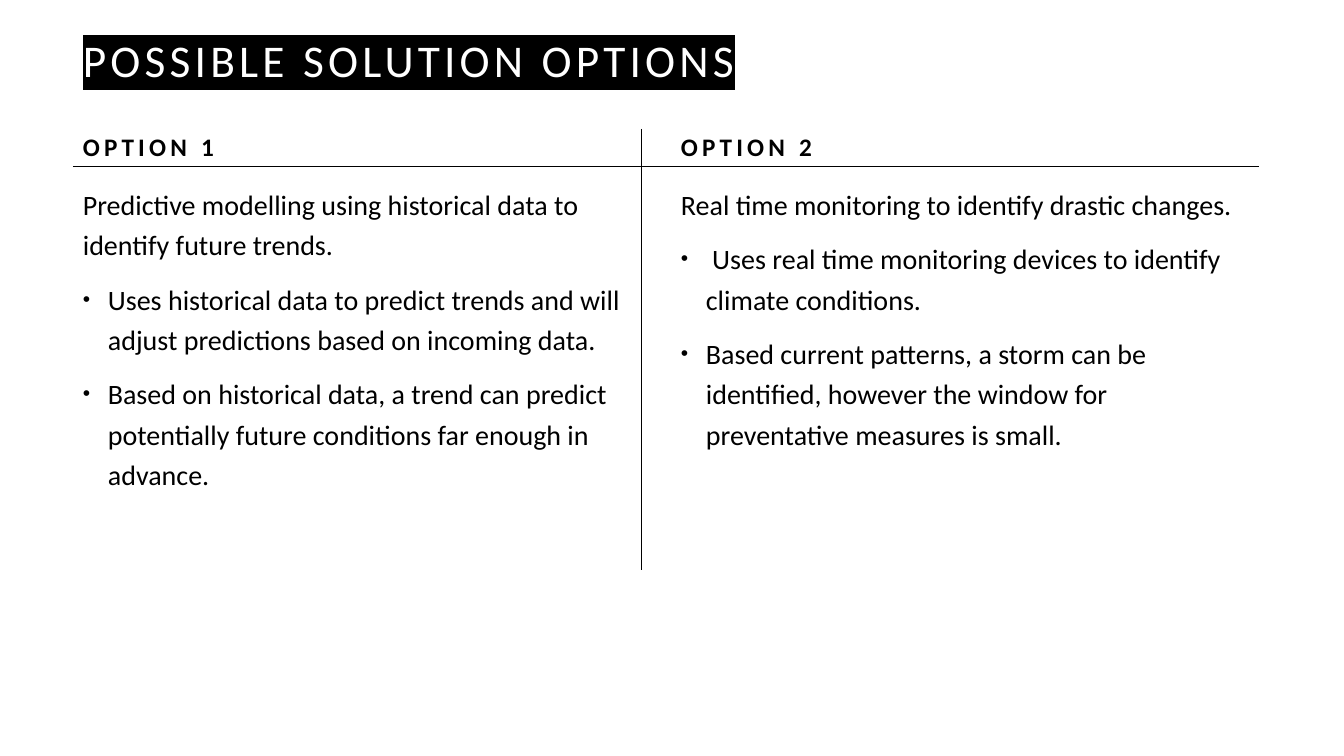
from dataclasses import dataclass

import pptx
import pptx.dml.color
import pptx.enum.shapes
import pptx.enum.text
import pptx.oxml
import pptx.oxml.ns
import pptx.util
from lxml import etree

PX = 914400 / 100.8  # EMU per px
COLORS = {"ink": "000000", "paper": "FFFFFF"}
FONT = "Calibri"
ANCHOR = pptx.enum.text.MSO_ANCHOR
INDENT = 25


@dataclass
class Option:
    left: int
    width: int
    heading: str
    summary: str
    points: list[str]


@dataclass
class Rule:
    x1: int
    y1: int
    x2: int
    y2: int


OPTIONS = [
    Option(73, 569, "OPTION 1",
           "Predictive modelling using historical data to identify future trends.",
           ["Uses historical data to predict trends and will adjust predictions "
            "based on incoming data.",
            "Based on historical data, a trend can predict potentially future "
            "conditions far enough in advance."]),
    Option(671, 573, "OPTION 2",
           "Real time monitoring to identify drastic changes.",
           [" Uses real time monitoring devices to identify climate conditions.",
            "Based current patterns, a storm can be identified, however the window "
            "for preventative measures is small."]),
]
RULES = [Rule(73, 166, 1259, 166), Rule(641, 129, 641, 570)]


def emu(px: int) -> int:
    return round(px * PX)


def rgb(name: str) -> pptx.dml.color.RGBColor:
    return pptx.dml.color.RGBColor.from_string(COLORS[name])


def add_child(parent, tag: str, **attrs: str):
    return etree.SubElement(parent, pptx.oxml.ns.qn(tag), attrs)


def add_bullet(p) -> None:
    pPr = p._p.get_or_add_pPr()
    pPr.set("marL", str(emu(INDENT)))
    pPr.set("indent", str(-emu(INDENT)))
    add_child(add_child(pPr, "a:buClr"), "a:srgbClr", val=COLORS["ink"])
    add_child(pPr, "a:buSzPct", val="75000")
    add_child(pPr, "a:buFont", typeface="Arial")
    add_child(pPr, "a:buChar", char="•")


def add_highlight(r, color: str) -> None:
    highlight = pptx.oxml.parse_xml(
        f'<a:highlight {pptx.oxml.ns.nsdecls("a")}>'
        f'<a:srgbClr val="{COLORS[color]}"/></a:highlight>')
    r.font._element.find(pptx.oxml.ns.qn("a:solidFill")).addnext(highlight)


def add_text(slide, left: int, top: int, width: int, height: int,
             lines: list[str], *, size: float, color: str = "ink",
             bold: bool = False, anchor=ANCHOR.TOP, before: int = 10,
             spacing: int = 0, highlight: str = "", bullets_from: int = 99) -> None:
    sp = slide.shapes.add_textbox(*map(emu, (left, top, width, height)))
    tf = sp.text_frame
    tf.word_wrap = True
    tf.vertical_anchor = anchor
    for i, line in enumerate(lines):
        p = tf.add_paragraph() if i else tf.paragraphs[0]
        p.line_spacing = 1.2
        p.space_before = pptx.util.Pt(before)
        if i >= bullets_from:
            add_bullet(p)
        r = p.add_run()
        r.text = line
        r.font.name = FONT
        r.font.size = pptx.util.Pt(size)
        r.font.bold = bold
        r.font.color.rgb = rgb(color)
        if spacing:
            r.font._element.set("spc", str(spacing * 100))
        if highlight:
            add_highlight(r, highlight)


def add_option(slide, option: Option) -> None:
    add_text(slide, option.left, 92, option.width, 75, [option.heading],
             size=18, bold=True, anchor=ANCHOR.BOTTOM, spacing=3)
    add_text(slide, option.left, 176, option.width, 402,
             [option.summary, *option.points], size=20, bullets_from=1)


def add_rule(slide, rule: Rule) -> None:
    line = slide.shapes.add_connector(
        pptx.enum.shapes.MSO_CONNECTOR.STRAIGHT,
        *map(emu, (rule.x1, rule.y1, rule.x2, rule.y2)))
    line.line.color.rgb = rgb("ink")
    line.line.width = pptx.util.Pt(0.5)
    add_child(line._element.spPr, "a:effectLst")


def main() -> None:
    prs = pptx.Presentation()
    prs.slide_width, prs.slide_height = emu(1344), emu(756)
    slide = prs.slides.add_slide(prs.slide_layouts[6])
    slide.background.fill.solid()
    slide.background.fill.fore_color.rgb = rgb("paper")

    # Title
    add_text(slide, 73, 17, 1171, 75, ["POSSIBLE SOLUTION OPTIONS"], size=32.4,
             color="paper", anchor=ANCHOR.BOTTOM, before=0, spacing=3,
             highlight="ink")

    # Option columns
    for option in OPTIONS:
        add_option(slide, option)

    # Dividing lines
    for rule in RULES:
        add_rule(slide, rule)

    prs.save("out.pptx")


if __name__ == "__main__":
    main()
